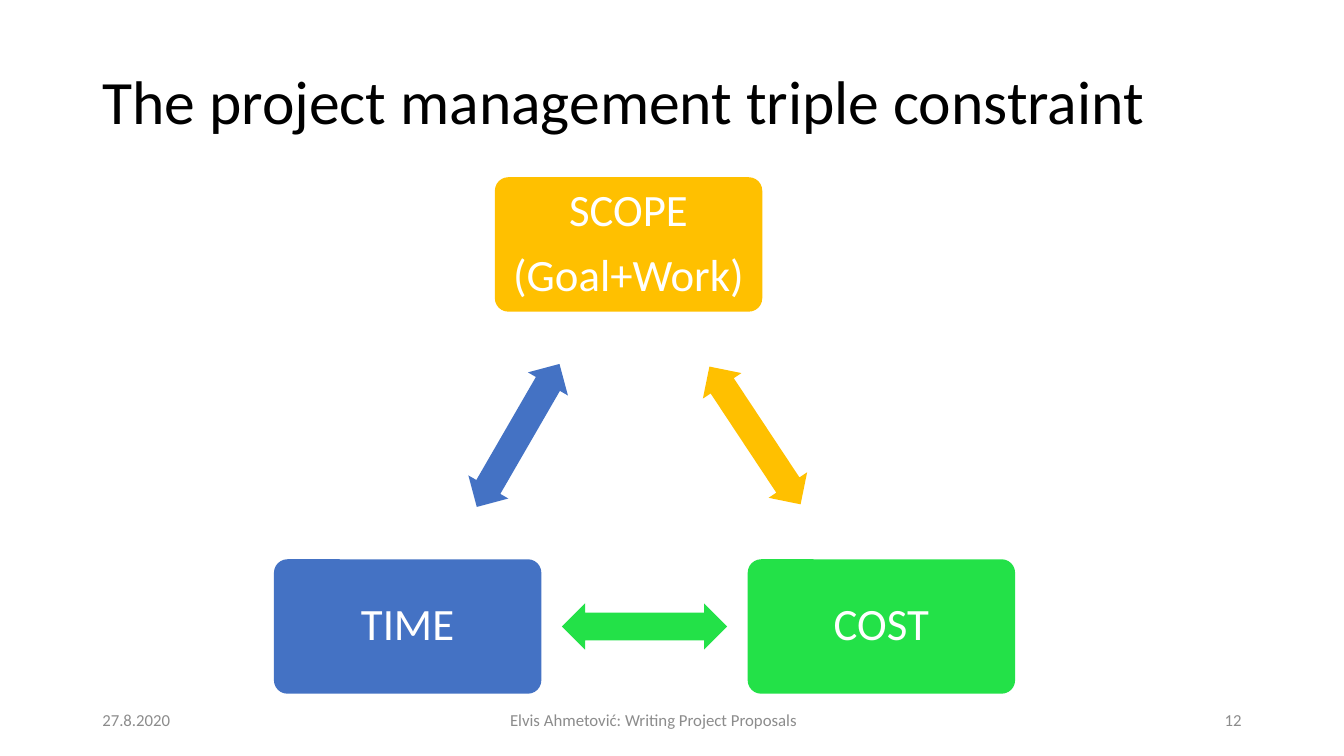
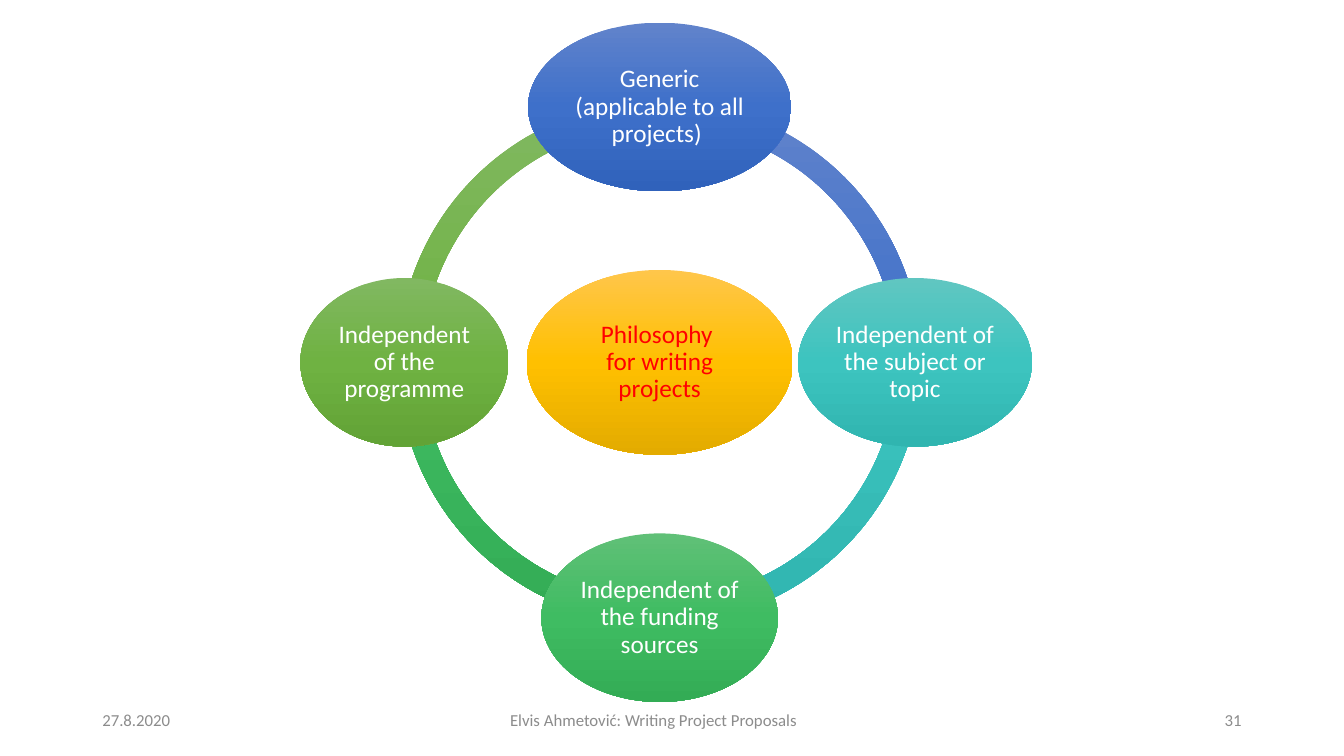
import copy
import math
from dataclasses import dataclass

import pptx
import pptx.dml.color
import pptx.enum.shapes
import pptx.enum.text
import pptx.oxml.ns
import pptx.presentation
import pptx.shapes.autoshape
import pptx.slide
import pptx.text.text
import pptx.util

Pt = pptx.util.Pt
RGBColor = pptx.dml.color.RGBColor
Shapes = pptx.enum.shapes.MSO_SHAPE
Align = pptx.enum.text.PP_ALIGN

FONT = "Calibri"
BLACK = RGBColor(0x00, 0x00, 0x00)
WHITE = RGBColor(0xFF, 0xFF, 0xFF)
GRAY = RGBColor(0x8C, 0x8C, 0x8C)
RED = RGBColor(0xFF, 0x00, 0x00)
AMBER = RGBColor(0xFF, 0xC0, 0x00)
LIME = RGBColor(0x23, 0xE1, 0x48)
BLUE = RGBColor(0x44, 0x72, 0xC4)

Gradient = tuple[RGBColor, RGBColor, RGBColor]
BLUE_FADE = (RGBColor(0x61, 0x83, 0xCB), RGBColor(0x3E, 0x70, 0xCA), RGBColor(0x30, 0x62, 0xBB))
TEAL_FADE = (RGBColor(0x60, 0xC6, 0xC1), RGBColor(0x3D, 0xC4, 0xBF), RGBColor(0x30, 0xB5, 0xB0))
GREEN_FADE = (RGBColor(0x60, 0xC0, 0x77), RGBColor(0x3F, 0xBC, 0x62), RGBColor(0x33, 0xAC, 0x55))
OLIVE_FADE = (RGBColor(0x81, 0xB8, 0x61), RGBColor(0x6F, 0xB2, 0x42), RGBColor(0x62, 0xA3, 0x36))
AMBER_FADE = (RGBColor(0xFF, 0xC6, 0x4B), AMBER, RGBColor(0xE3, 0xAB, 0x00))

TITLE_ONLY, BLANK = 5, 6


@dataclass(frozen=True)
class Constraint:
    lines: tuple[str, ...]
    x: float
    y: float
    color: RGBColor


@dataclass(frozen=True)
class Principle:
    text: str
    width: float
    fade: Gradient


@dataclass(frozen=True)
class FooterPart:
    text: str
    left: float
    width: float
    align: Align


CONSTRAINTS = (
    Constraint(("SCOPE", "(Goal+Work)"), 449, 174.6, AMBER),
    Constraint(("COST",), 629.6, 447.5, LIME),
    Constraint(("TIME",), 291.2, 447.5, BLUE),
)
CONSTRAINT_SIZE = (191, 96)
ARROW_SIZE = (118, 33)

# Clockwise from the top
PRINCIPLES = (
    Principle("Generic (applicable to all projects) ", 188, BLUE_FADE),
    Principle("Independent of the subject or topic", 167, TEAL_FADE),
    Principle("Independent of the funding sources", 169, GREEN_FADE),
    Principle("Independent of the programme", 148.5, OLIVE_FADE),
)
PRINCIPLE_HEIGHT = 120.4
RING_CENTER = (471.2, 258.8)
RING_DIAMETER = 373.7
RING_THICKNESS = 0.046
ORBIT_RADIUS = 182.4


def write_text(
    frame: pptx.text.text.TextFrame,
    *lines: str,
    size: float,
    color: RGBColor,
    align: Align = Align.CENTER,
    line_spacing: float = 0.9,
    space_after: float = 0,
    inset: tuple[float, float] = (7.2, 3.6),
) -> None:
    """Fill a frame with one paragraph per line; inset is horizontal, vertical."""
    frame.word_wrap = True
    frame.auto_size = pptx.enum.text.MSO_AUTO_SIZE.NONE
    frame.vertical_anchor = pptx.enum.text.MSO_ANCHOR.MIDDLE
    frame.margin_left = frame.margin_right = Pt(inset[0])
    frame.margin_top = frame.margin_bottom = Pt(inset[1])
    for index, line in enumerate(lines):
        paragraph = frame.add_paragraph() if index else frame.paragraphs[0]
        paragraph.text = line
        paragraph.alignment = align
        paragraph.line_spacing = line_spacing
        paragraph.space_after = Pt(space_after)
        for run in paragraph.runs:
            run.font.name = FONT
            run.font.size = Pt(size)
            run.font.color.rgb = color


def add_centered(
    slide: pptx.slide.Slide,
    kind: Shapes,
    center: tuple[float, float],
    size: tuple[float, float],
    fill: RGBColor | Gradient,
    adjustments: tuple[float, ...] = (),
) -> pptx.shapes.autoshape.Shape:
    """Add a borderless shape around a center; three colors make a gradient."""
    (x, y), (width, height) = center, size
    shape = slide.shapes.add_shape(
        kind, Pt(x - width / 2), Pt(y - height / 2), Pt(width), Pt(height)
    )
    shape.shadow.inherit = False
    shape.line.fill.background()
    for index, value in enumerate(adjustments):
        shape.adjustments[index] = value
    if isinstance(fill, RGBColor):
        shape.fill.solid()
        shape.fill.fore_color.rgb = fill
    else:
        fade_down(shape, fill)
    return shape


def fade_down(shape: pptx.shapes.autoshape.Shape, fade: Gradient) -> None:
    shape.fill.gradient()
    shape.fill.gradient_angle = 270
    stop_list = shape._element.spPr.find(".//" + pptx.oxml.ns.qn("a:gsLst"))
    stop_list.insert(1, copy.deepcopy(stop_list[0]))
    for stop, color, position in zip(shape.fill.gradient_stops, fade, (0, 0.5, 1)):
        stop.color.rgb = color
        stop.position = position


def add_footer(slide: pptx.slide.Slide, number: int) -> None:
    for part in (
        FooterPart("27.8.2020", 66, 88.6, Align.LEFT),
        FooterPart("Elvis Ahmetović: Writing Project Proposals", 188.6, 556.6, Align.CENTER),
        FooterPart(str(number), 836.4, 57.6, Align.RIGHT),
    ):
        box = slide.shapes.add_textbox(Pt(part.left), Pt(499.7), Pt(part.width), Pt(28.8))
        write_text(
            box.text_frame, part.text, size=12, color=GRAY, align=part.align, line_spacing=1
        )


def add_title(slide: pptx.slide.Slide, text: str) -> None:
    title = slide.shapes.title
    title.left, title.top, title.width, title.height = Pt(66), Pt(22.3), Pt(828), Pt(104.4)
    write_text(title.text_frame, text, size=44, color=BLACK, align=Align.LEFT)


def add_two_way_arrow(slide: pptx.slide.Slide, start: Constraint, end: Constraint) -> None:
    """Put an arrow halfway between two constraints, along their joining line."""
    middle = ((start.x + end.x) / 2, (start.y + end.y) / 2)
    arrow = add_centered(
        slide, Shapes.LEFT_RIGHT_ARROW, middle, ARROW_SIZE, start.color, (0.6, 0.5)
    )
    arrow.rotation = math.degrees(math.atan2(end.y - start.y, end.x - start.x)) % 360


def build_triple_constraint(deck: pptx.presentation.Presentation) -> None:
    slide = deck.slides.add_slide(deck.slide_layouts[TITLE_ONLY])
    add_footer(slide, 12)
    add_title(slide, "The project management triple constraint")
    for index, constraint in enumerate(CONSTRAINTS):
        box = add_centered(
            slide,
            Shapes.ROUNDED_RECTANGLE,
            (constraint.x, constraint.y),
            CONSTRAINT_SIZE,
            constraint.color,
            (0.1,),
        )
        write_text(
            box.text_frame,
            *constraint.lines,
            size=32,
            color=WHITE,
            space_after=11.2,
            inset=(9.6, 9.6),
        )
        add_two_way_arrow(slide, constraint, CONSTRAINTS[(index + 1) % len(CONSTRAINTS)])


def add_bubble(
    slide: pptx.slide.Slide,
    text: str,
    center: tuple[float, float],
    size: tuple[float, float],
    fade: Gradient,
    color: RGBColor = WHITE,
) -> None:
    bubble = add_centered(slide, Shapes.OVAL, center, size, fade)
    write_text(
        bubble.text_frame, text, size=18, color=color, space_after=6.3, inset=(2.3, 2.3)
    )


def build_philosophy(deck: pptx.presentation.Presentation) -> None:
    slide = deck.slides.add_slide(deck.slide_layouts[BLANK])
    add_footer(slide, 31)
    step = 360 // len(PRINCIPLES)
    placed = [((270 + step * i) % 360, item) for i, item in enumerate(PRINCIPLES)]

    angle_unit = 0.6  # adjustment value of one degree
    for angle, principle in reversed(placed):
        add_centered(
            slide,
            Shapes.BLOCK_ARC,
            RING_CENTER,
            (RING_DIAMETER, RING_DIAMETER),
            principle.fade,
            (angle * angle_unit, (angle + step) % 360 * angle_unit, RING_THICKNESS),
        )

    add_bubble(
        slide, "Philosophy \vfor writing projects", RING_CENTER, (190, 132), AMBER_FADE, RED
    )
    for angle, principle in placed:
        center = (
            RING_CENTER[0] + ORBIT_RADIUS * math.cos(math.radians(angle)),
            RING_CENTER[1] + ORBIT_RADIUS * math.sin(math.radians(angle)),
        )
        add_bubble(
            slide, principle.text, center, (principle.width, PRINCIPLE_HEIGHT), principle.fade
        )


def main() -> None:
    deck = pptx.Presentation()
    deck.slide_width, deck.slide_height = Pt(960), Pt(540)
    build_triple_constraint(deck)
    build_philosophy(deck)
    deck.save("out.pptx")


if __name__ == "__main__":
    main()
